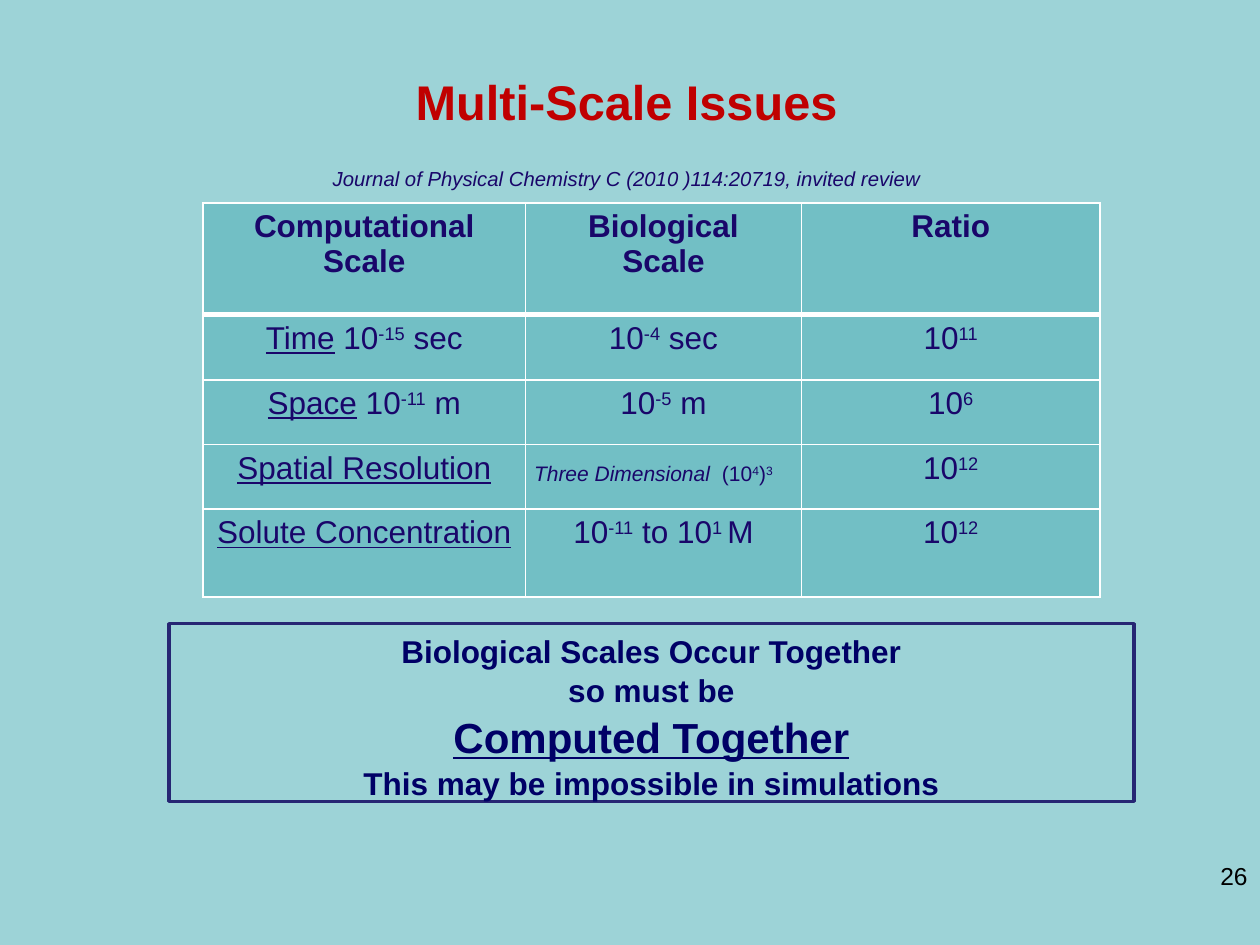
import pptx
import pptx.dml.color
import pptx.enum.shapes
import pptx.enum.text
import pptx.oxml
import pptx.oxml.ns
import pptx.util

Pt = pptx.util.Pt
ALIGN = pptx.enum.text.PP_ALIGN
COLORS = {
    "background": "9DD3D7",
    "cell": "72BFC5",
    "grid": "FFFFFF",
    "title": "C00000",
    "text": "19066A",
    "message": "000066",
    "frame": "262673",
    "number": "000000",
}


def rgb(name):
    return pptx.dml.color.RGBColor.from_string(COLORS[name])


def write(para, spans, size, color, bold=False, align=ALIGN.CENTER):
    """Fill a paragraph with (text, style) spans; u, i and ^ mean underline, italic, raised."""
    para.alignment = align
    for text, style in spans:
        span = para.add_run()
        span.text = text
        span.font.name = "Arial"
        span.font.size = Pt(size)
        span.font.bold = bold
        span.font.italic = "i" in style
        span.font.underline = "u" in style
        span.font.color.rgb = rgb(color)
        if "^" in style:
            span.font._element.set("baseline", "30000")


deck = pptx.Presentation()
deck.slide_width, deck.slide_height = Pt(720), Pt(540)
page = deck.slides.add_slide(deck.slide_layouts[6])
page.background.fill.solid()
page.background.fill.fore_color.rgb = rgb("background")

# Slide number
number = page.shapes.add_textbox(Pt(632.2), Pt(488.2), Pt(87.8), Pt(37.4)).text_frame
number.word_wrap = True
write(number.paragraphs[0], [("26", "")], 14, "number", align=ALIGN.RIGHT)

# Title and citation
title = page.shapes.add_textbox(Pt(18.7), Pt(26.6), Pt(679), Pt(62)).text_frame
title.word_wrap = True
title.margin_top = Pt(8.5)
write(title.paragraphs[0], [("Multi-Scale Issues", "^")], 48, "title", bold=True)
citation = "Journal of Physical Chemistry C (2010 )114:20719, invited review"
write(title.add_paragraph(), [(citation, "i^")], 20, "text")

# Framed message
box = page.shapes.add_shape(pptx.enum.shapes.MSO_SHAPE.RECTANGLE,
                            Pt(96.5), Pt(356.4), Pt(551.5), Pt(101.5))
box.shadow.inherit = False
box.fill.background()
box.line.color.rgb = rgb("frame")
box.line.width = Pt(2)
message = box.text_frame
message.word_wrap = True
message.vertical_anchor = pptx.enum.text.MSO_ANCHOR.TOP
lines = [
    ("Biological Scales Occur Together", 18, ""),
    ("so must be", 18, ""),
    ("Computed Together", 24, "u"),
    ("This may be impossible in simulations", 18, ""),
]
for index, (text, size, style) in enumerate(lines):
    para = message.add_paragraph() if index else message.paragraphs[0]
    para.line_spacing = 1.05
    write(para, [(text, style)], size, "message", bold=True)

# Table of scales: each cell is a list of paragraphs, each paragraph a list of spans
rows = [
    [[[("Computational Scale", "")]],
     [[("Biological", "")], [("Scale", "")]],
     [[("Ratio", "")]]],
    [[[("Time", "u"), (" 10", ""), ("-15", "^"), (" sec", "")]],
     [[("10", ""), ("-4", "^"), (" sec", "")]],
     [[("10", ""), ("11", "^")]]],
    [[[("Space", "u"), (" 10", ""), ("-11", "^"), (" m", "")]],
     [[("10", ""), ("-5", "^"), (" m", "")]],
     [[("10", ""), ("6", "^")]]],
    [[[("Spatial Resolution", "u")]],
     [],
     [[("10", ""), ("12", "^")]]],
    [[[("Solute Concentration", "u")]],
     [[("10", ""), ("-11", "^"), (" to 10", ""), ("1 ", "^"), ("M", "")]],
     [[("10", ""), ("12", "^")]]],
]
widths = [184.3, 157.7, 170.6]
heights = [64, 37.2, 37, 36.8, 50.4]
table = page.shapes.add_table(len(rows), len(widths), Pt(116), Pt(115.9),
                              Pt(sum(widths)), Pt(sum(heights))).table
table.horz_banding = False
for column, width in zip(table.columns, widths):
    column.width = Pt(width)
for row, height in zip(table.rows, heights):
    row.height = Pt(height)

for r, row in enumerate(rows):
    for c, paragraphs in enumerate(row):
        cell = table.cell(r, c)
        for index, spans in enumerate(paragraphs):
            frame = cell.text_frame
            para = frame.add_paragraph() if index else frame.paragraphs[0]
            write(para, spans, 18, "text", bold=(r == 0))

        # Borders come before the fill; a heavy rule separates the header
        properties = cell._tc.get_or_add_tcPr()
        for side in ("lnL", "lnR", "lnT", "lnB"):
            heavy = (r, side) in ((0, "lnB"), (1, "lnT"))
            properties.append(pptx.oxml.parse_xml(
                f'<a:{side} {pptx.oxml.ns.nsdecls("a")} w="{Pt(3 if heavy else 1)}">'
                f'<a:solidFill><a:srgbClr val="{COLORS["grid"]}"/></a:solidFill></a:{side}>'))
        cell.fill.solid()
        cell.fill.fore_color.rgb = rgb("cell")

# Note over the empty cell
note = page.shapes.add_textbox(Pt(298.1), Pt(259.9), Pt(164.9), Pt(21.6)).text_frame
note.word_wrap = True
write(note.paragraphs[0],
      [("Three Dimensional ", "i"), (" (10", ""), ("4", "^"), (")", ""), ("3", "^")],
      12, "text", align=ALIGN.LEFT)

deck.save("out.pptx")
